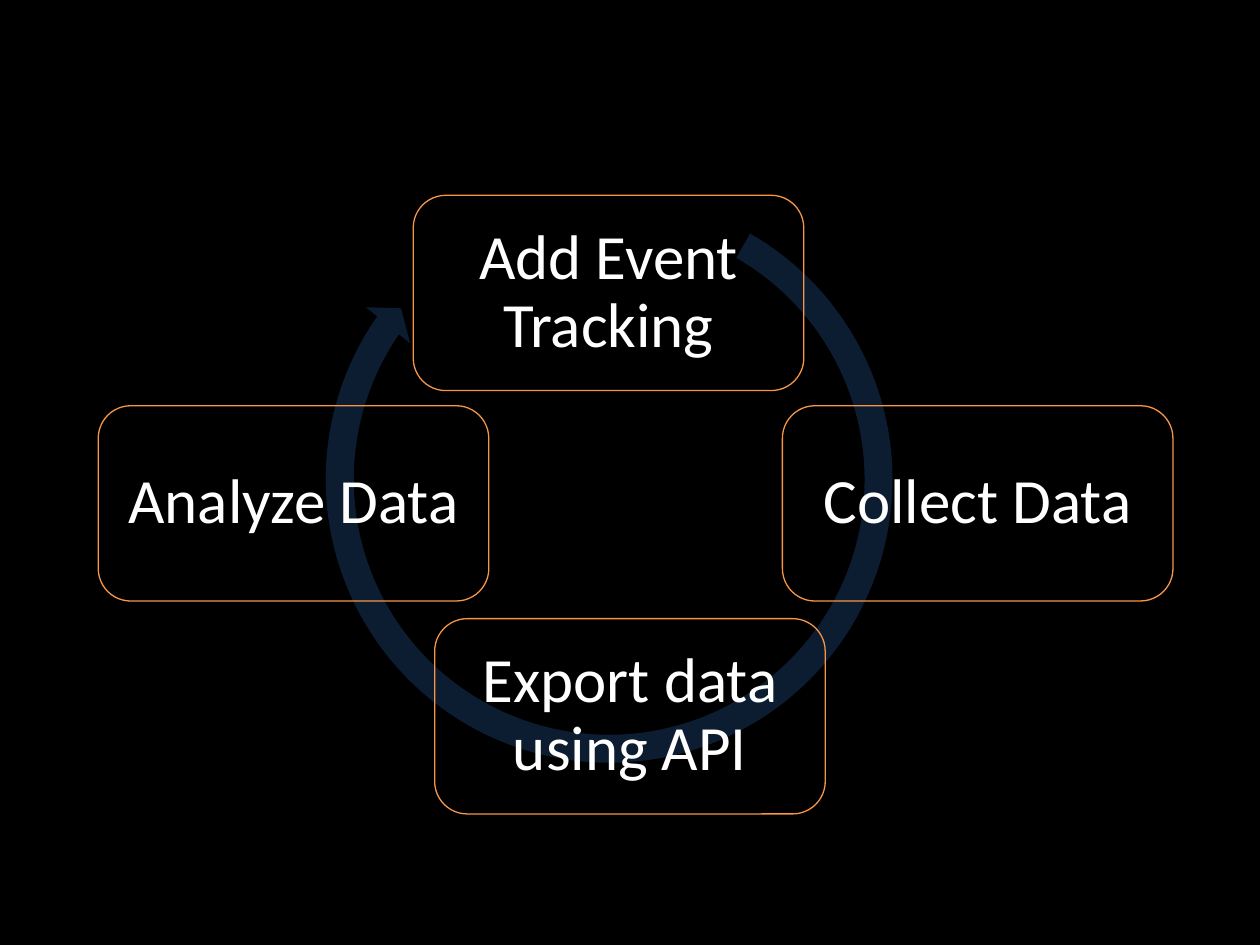
from dataclasses import dataclass

from lxml.etree import SubElement
from pptx import Presentation
from pptx.dml.color import RGBColor
from pptx.enum.shapes import MSO_SHAPE as Shape
from pptx.enum.text import MSO_ANCHOR as Anchor, PP_ALIGN as Align
from pptx.oxml.ns import qn
from pptx.util import Inches, Pt


@dataclass(frozen=True)
class Theme:
    background: str = "000000"
    ring: str = "1F497D"
    ring_opacity: int = 40
    outline: str = "F79646"
    text: str = "FFFFFF"
    font: str = "Calibri"
    size: int = 36


THEME = Theme()
WIDTH, HEIGHT = 10, 7.5
BOX_WIDTH, BOX_HEIGHT = 0.31 * WIDTH, 1.55
ROW_TOPS = (1.55, 3.22, 4.91)
STEPS = [
    ("Add Event Tracking", 3.28, 0),
    ("Collect Data", 6.21, 1),
    ("Export data using API", 3.45, 2),
    ("Analyze Data", 0.78, 1),
]
RING_LEFT, RING_TOP, RING_SIZE = 2.47, 1.44, 4.73
RING_SHAPE = (0.047, 2.73, 128.92, 179.9, 0.048)


def color(value):
    return RGBColor.from_string(value)


def add_shape(slide, kind, left, top, width, height):
    shape = slide.shapes.add_shape(kind, *map(Inches, (left, top, width, height)))
    shape.shadow.inherit = False
    return shape


def write_text(shape, text, size=THEME.size, font=THEME.font, fill=THEME.text,
               align=Align.CENTER, anchor=Anchor.MIDDLE, inset=0.15, spacing=0.9):
    frame = shape.text_frame
    frame.word_wrap = True
    frame.vertical_anchor = anchor
    frame.margin_left = frame.margin_right = Inches(inset)
    frame.margin_top = frame.margin_bottom = Inches(inset)
    paragraph = frame.paragraphs[0]
    paragraph.alignment = align
    paragraph.line_spacing = spacing
    run = paragraph.add_run()
    run.text = text
    run.font.size = Pt(size)
    run.font.name = font
    run.font.color.rgb = color(fill)


def add_ring(slide):
    ring = add_shape(slide, Shape.CIRCULAR_ARROW, RING_LEFT, RING_TOP, RING_SIZE, RING_SIZE)
    for index, value in enumerate(RING_SHAPE):
        ring.adjustments[index] = value
    ring.fill.solid()
    ring.fill.fore_color.rgb = color(THEME.ring)
    ring.line.fill.background()
    tint = ring.fill._xPr.find(qn("a:solidFill"))[0]
    SubElement(tint, qn("a:alpha"), val=str(THEME.ring_opacity * 1000))


def add_step(slide, text, left, row):
    box = add_shape(slide, Shape.ROUNDED_RECTANGLE, left, ROW_TOPS[row], BOX_WIDTH, BOX_HEIGHT)
    box.fill.background()
    box.line.color.rgb = color(THEME.outline)
    box.line.width = Pt(0.75)
    write_text(box, text)


def main():
    presentation = Presentation()
    presentation.slide_width, presentation.slide_height = Inches(WIDTH), Inches(HEIGHT)
    slide = presentation.slides.add_slide(presentation.slide_layouts[6])
    slide.background.fill.solid()
    slide.background.fill.fore_color.rgb = color(THEME.background)
    add_ring(slide)
    for step in STEPS:
        add_step(slide, *step)
    presentation.save("out.pptx")


if __name__ == "__main__":
    main()
